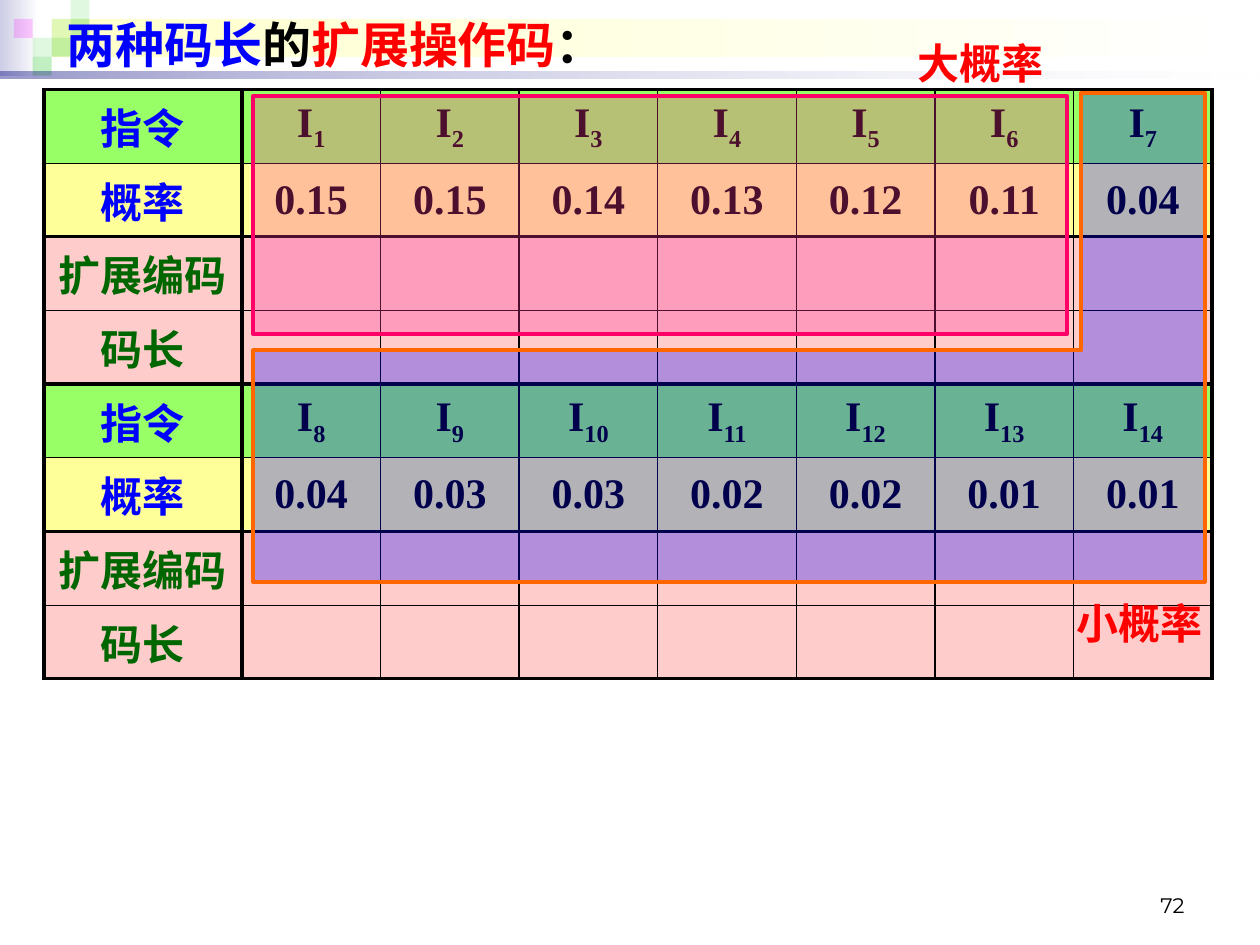
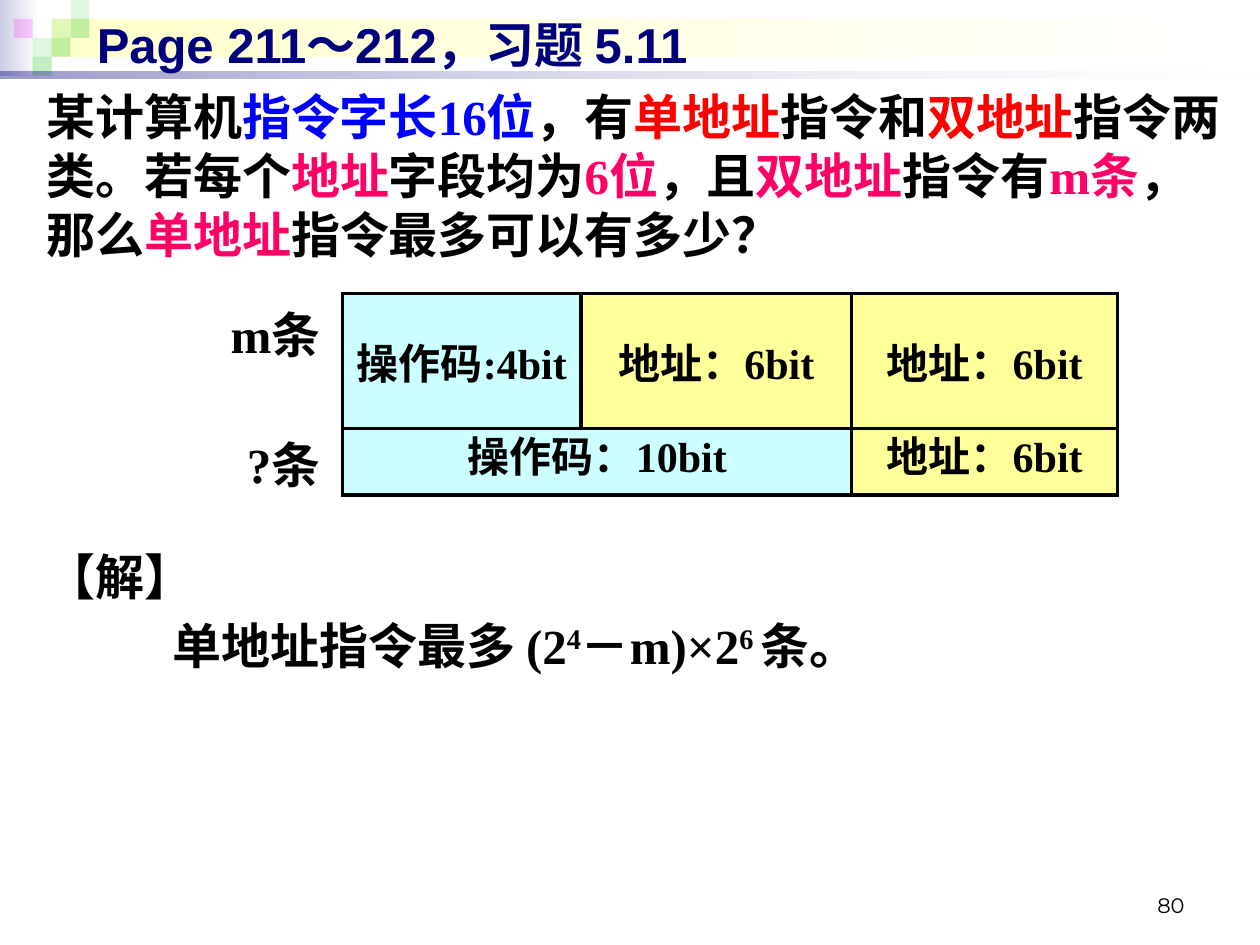
from lxml import etree
from pptx import Presentation
from pptx.dml.color import RGBColor
from pptx.enum.shapes import MSO_SHAPE
from pptx.enum.text import MSO_ANCHOR, PP_ALIGN
from pptx.oxml.ns import qn
from pptx.util import Inches, Pt

RECTANGLE = MSO_SHAPE.RECTANGLE
LEFT, CENTER, RIGHT = PP_ALIGN.LEFT, PP_ALIGN.CENTER, PP_ALIGN.RIGHT
TOP, MIDDLE, BOTTOM = MSO_ANCHOR.TOP, MSO_ANCHOR.MIDDLE, MSO_ANCHOR.BOTTOM

COLORS = {
    "black": "000000", "white": "FFFFFF", "blue": "0000FF", "red": "FF0000",
    "navy": "00007D", "rose": "FF0066", "pink": "FF3399", "orange": "FF6600",
    "dark_green": "006600", "green": "33CC33", "magenta": "FF00FF",
    "lilac": "CDCDE6", "cream": "FFFFCC", "lime_cell": "99FF66",
    "yellow_cell": "FFFF99", "pink_cell": "FFCCCC", "cyan_cell": "CCFFFF",
}
SERIF, SANS, CJK, NUMBER_FONT = "Times New Roman", "Arial", "Noto Sans CJK SC", "Montserrat"
THIN, MEDIUM, THICK = 0.75, 1, 2.25
SUBSCRIPT, SUPERSCRIPT = -25, 30


def rgb(name):
    return RGBColor.from_string(COLORS[name])


def set_alpha(color_element, percent):
    etree.SubElement(color_element, qn("a:alpha")).set("val", str(percent * 1000))


def fill_shape(shape, color, alpha=100):
    shape.shadow.inherit = False
    shape.fill.solid()
    shape.fill.fore_color.rgb = rgb(color)
    if alpha < 100:
        set_alpha(shape.fill._xPr.find(".//" + qn("a:srgbClr")), alpha)


def add_rectangle(page, box):
    shape = page.shapes.add_shape(RECTANGLE, *map(Inches, box))
    shape.shadow.inherit = False
    shape.line.fill.background()
    return shape


def add_gradient_band(page, box, stops):
    """Left-to-right band; stops are (color, alpha) pairs."""
    band = add_rectangle(page, box)
    band.fill.gradient()
    band.fill.gradient_angle = 0
    for position, (stop, (color, alpha)) in enumerate(zip(band.fill.gradient_stops, stops)):
        stop.position = position
        stop.color.rgb = rgb(color)
        if alpha < 100:
            set_alpha(stop._gs.find(qn("a:srgbClr")), alpha)


def add_runs(para, parts, size, font=SERIF, bold=True):
    """Add (text, color, baseline, font) parts; the last two may be left out."""
    for text, color, *extra in parts:
        span = para.add_run()
        span.text = text
        span.font.size = Pt(size)
        span.font.bold = bold
        span.font.name = extra[1] if len(extra) > 1 else font
        span.font.color.rgb = rgb(color)
        if extra and extra[0]:
            span.font._element.set("baseline", str(extra[0] * 1000))


def add_text(page, box, parts, size, align=LEFT, anchor=TOP, font=SERIF, bold=True):
    frame = page.shapes.add_textbox(*map(Inches, box)).text_frame
    frame.word_wrap = True
    frame.vertical_anchor = anchor
    frame.paragraphs[0].alignment = align
    add_runs(frame.paragraphs[0], parts, size, font, bold)
    return frame


def add_header(page):
    add_gradient_band(page, (0, 0, 0.31, 0.6), [("lilac", 100), ("white", 100)])
    add_gradient_band(page, (0.41, 0.15, 9.55, 0.3), [("cream", 100), ("white", 100)])
    tile = 0.15
    for column, row, color, alpha in [
        (2, 1, "green", 15), (3, 0, "green", 15), (3, 1, "green", 30),
        (1, 2, "green", 15), (0, 1, "magenta", 20), (2, 2, "green", 30),
        (1, 3, "green", 30),
    ]:
        square = add_rectangle(page, (0.11 + column * tile, row * tile, tile, tile))
        fill_shape(square, color, alpha)
    add_gradient_band(page, (0, 0.57, 10, 0.05), [("navy", 40), ("white", 10)])


def add_page(deck, number):
    page = deck.slides.add_slide(deck.slide_layouts[6])
    add_header(page)
    add_text(page, (7.17, 6.83, 2.33, 0.5), [(number, "black")], 12,
             RIGHT, BOTTOM, NUMBER_FONT, False)
    return page


def add_grid(page, left, top, widths, heights):
    size = map(Inches, (left, top, sum(widths), sum(heights)))
    table = page.shapes.add_table(len(heights), len(widths), *size).table
    for column, width in zip(table.columns, widths):
        column.width = Inches(width)
    for row, height in zip(table.rows, heights):
        row.height = Inches(height)
    return table


def format_cell(cell, parts, fill, borders):
    """Fill a cell; borders are the left, right, top and bottom widths."""
    properties = cell._tc.get_or_add_tcPr()
    for side, width in zip("LRTB", borders):
        line = etree.SubElement(properties, qn("a:ln" + side), w=str(Pt(width)))
        color = etree.SubElement(etree.SubElement(line, qn("a:solidFill")), qn("a:srgbClr"))
        color.set("val", COLORS["black"])
    cell.fill.solid()
    cell.fill.fore_color.rgb = rgb(fill)
    cell.vertical_anchor = MIDDLE
    para = cell.text_frame.paragraphs[0]
    para.alignment = CENTER
    para.font.size = Pt(24)
    add_runs(para, parts, 24)


def add_probability_table(page, left, top, probabilities):
    per_block = 7
    kinds = [("指令", "blue", "lime_cell"), ("概率", "blue", "yellow_cell"),
             ("扩展编码", "dark_green", "pink_cell"), ("码长", "dark_green", "pink_cell")]
    rows = kinds * 2
    table = add_grid(page, left, top, [1.57] + [1.1] * per_block, [0.585] * len(rows))
    for row, (label, color, fill) in enumerate(rows):
        horizontal = (THIN, THICK) if row % 2 else (THICK, THIN)
        format_cell(table.cell(row, 0), [(label, color)], fill, (THICK, THICK, *horizontal))
        for column in range(1, per_block + 1):
            index = row // len(kinds) * per_block + column
            parts = {
                "指令": [("I", "black"), (str(index), "black", SUBSCRIPT)],
                "概率": [(probabilities[index - 1], "black")],
            }.get(label, [])
            vertical = (THICK if column == 1 else MEDIUM,
                        THICK if column == per_block else MEDIUM)
            format_cell(table.cell(row, column), parts, fill, (*vertical, *horizontal))


def outline(shape, color):
    shape.line.color.rgb = rgb(color)
    shape.line.width = Pt(THICK)


def add_low_probability_area(page, left, top, right, bottom, notch_right, notch_bottom):
    corners = [(right, top), (right, bottom), (left, bottom),
               (left, notch_bottom), (notch_right, notch_bottom)]
    builder = page.shapes.build_freeform(Inches(notch_right), Inches(top))
    builder.add_line_segments([(Inches(x), Inches(y)) for x, y in corners], close=True)
    area = builder.convert_to_shape()
    fill_shape(area, "blue", 30)
    outline(area, "orange")


def add_high_probability_area(page, box):
    area = add_rectangle(page, box)
    fill_shape(area, "pink", 30)
    outline(area, "rose")


def build_two_length_page(deck):
    page = add_page(deck, "72")
    add_text(page, (0.43, 0.07, 9.29, 0.63),
             [("两种码长", "blue"), ("的", "black"), ("扩展操作码", "red"), ("：", "black")], 28)
    add_probability_table(page, 0.35, 0.71, [
        "0.15", "0.15", "0.14", "0.13", "0.12", "0.11", "0.04",
        "0.04", "0.03", "0.03", "0.02", "0.02", "0.01", "0.01"])
    add_low_probability_area(page, 2.01, 0.74, 9.56, 4.62, 8.58, 2.78)
    add_high_probability_area(page, (2.01, 0.76, 6.46, 1.89))
    for label, left, top in [("大概率", 6.73, 0.25), ("小概率", 7.99, 4.69)]:
        add_text(page, (left, top, 1.65, 0.5), [(label, "red")], 24, RIGHT)


def add_exercise_text(page, box):
    frame = add_text(page, box, [
        ("某计算机", "black"), ("指令字长16位", "blue"), ("，有", "black"),
        ("单地址", "red"), ("指令和", "black"), ("双地址", "red"),
        ("指令两类。若每个", "black"), ("地址", "rose"), ("字段均为", "black"),
        ("6位", "rose"), ("，且", "black"), ("双地址", "rose"), ("指令有", "black"),
        ("m条", "rose"), ("，那么", "black"), ("单地址", "rose"),
        ("指令最多可以有多少？", "black")], 28)
    heading = frame.add_paragraph()
    heading.space_before = Pt(162)
    add_runs(heading, [("【解】", "black")], 28)
    answer = frame.add_paragraph()
    answer.space_before = Pt(5.6)
    answer._p.get_or_add_pPr().set("marL", str(Inches(1)))
    add_runs(answer, [
        ("单地址指令最多 (2", "black"), ("4", "black", SUPERSCRIPT), ("－m)×2", "black"),
        ("6 ", "black", SUPERSCRIPT), ("条。", "black")], 28)


def add_format_row(page, left, top, height, fields):
    """One instruction format: an operation code followed by addresses."""
    table = add_grid(page, left, top, [width for _, width in fields], [height])
    for column, (text, _) in enumerate(fields):
        fill = "yellow_cell" if column else "cyan_cell"
        format_cell(table.cell(0, column), [(text, "black")], fill, [THICK] * 4)


def build_exercise_page(deck):
    page = add_page(deck, "80")
    add_text(page, (0.67, 0.05, 9.13, 0.6),
             [("Page 211～212", "navy"), ("，", "navy", 0, CJK), ("习题 5.11", "navy")],
             28, anchor=MIDDLE, font=SANS)
    add_exercise_text(page, (0.27, 0.64, 9.61, 6.3))
    add_format_row(page, 2.72, 3.28, 0.65, [("操作码：10bit", 4.04), ("地址：6bit", 2.11)])
    add_format_row(page, 2.72, 2.33, 1.07,
                   [("操作码:4bit", 1.89), ("地址：6bit", 2.15), ("地址：6bit", 2.11)])
    for label, top in [("m条", 2.37), ("?条", 3.4)]:
        add_text(page, (1.3, top, 1.34, 0.57), [(label, "black")], 28, RIGHT)


def main():
    deck = Presentation()
    deck.slide_width, deck.slide_height = Inches(10), Inches(7.5)
    build_two_length_page(deck)
    build_exercise_page(deck)
    deck.save("out.pptx")


if __name__ == "__main__":
    main()
